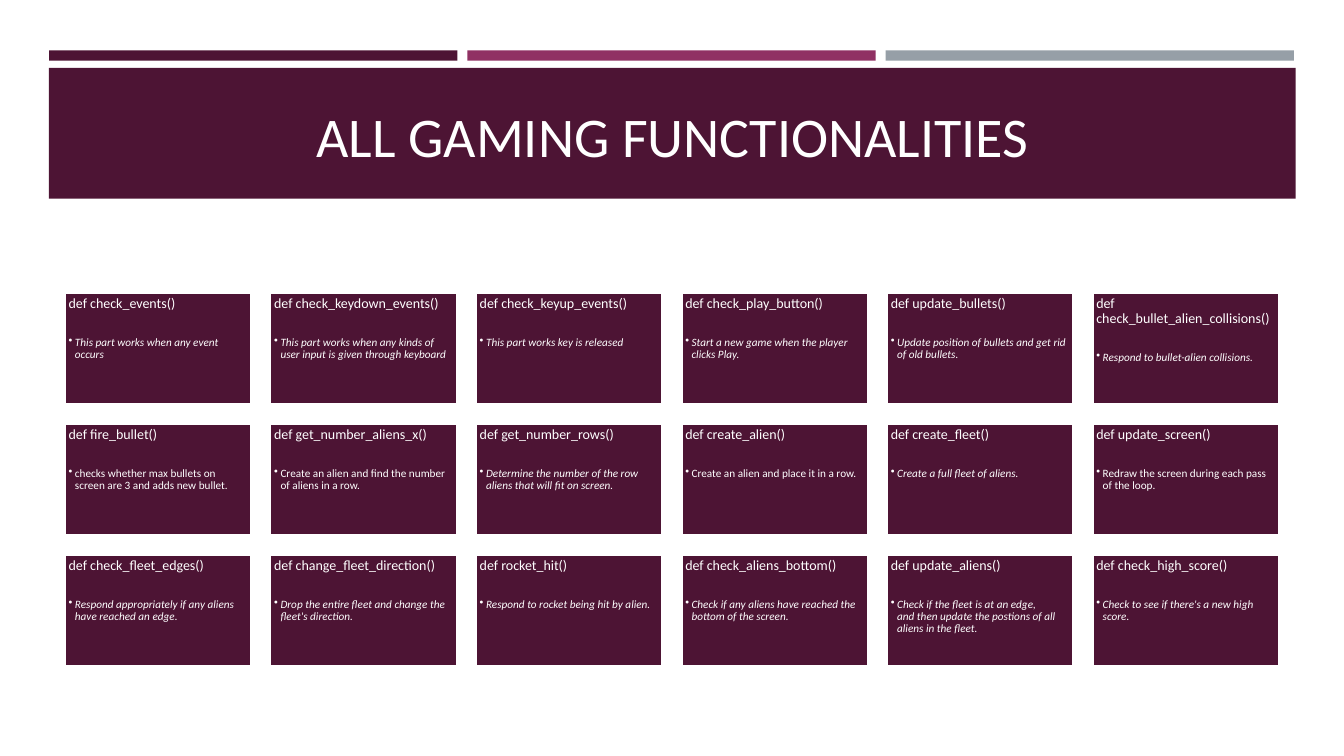
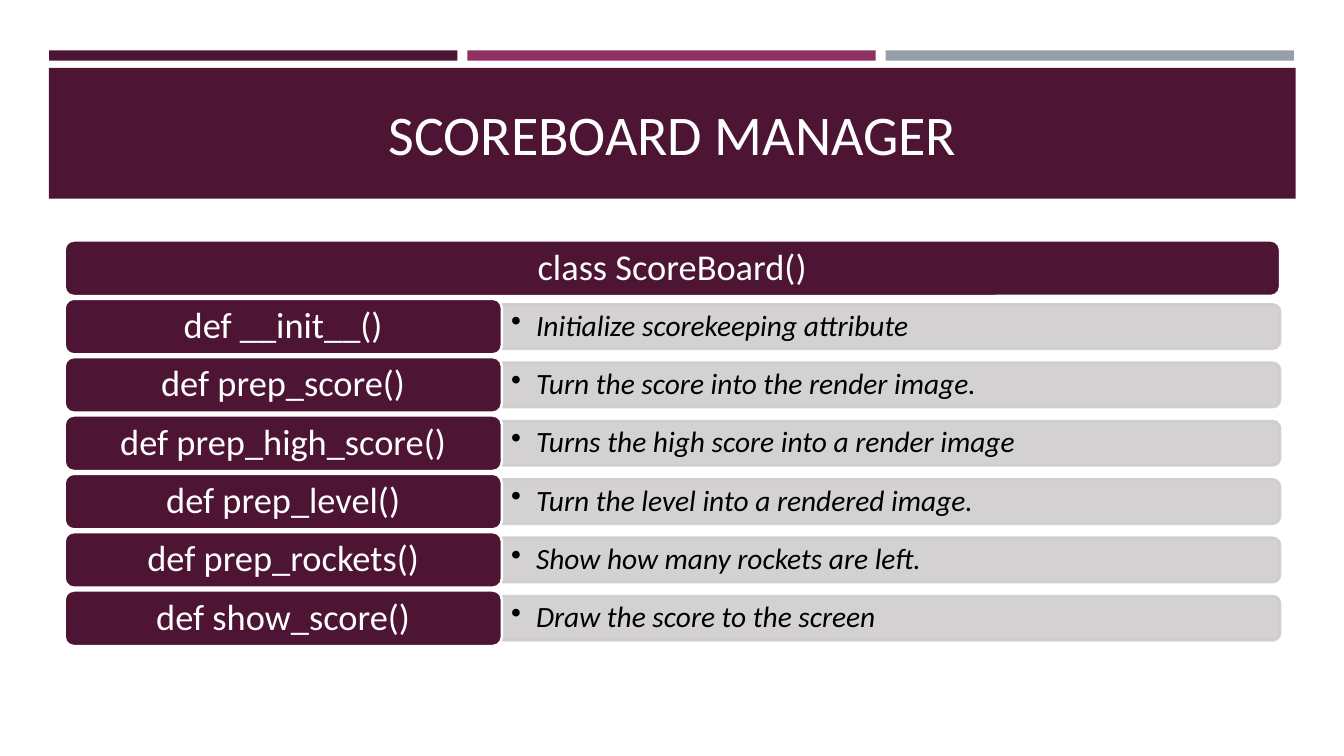
from copy import deepcopy

from lxml.etree import SubElement
from pptx import Presentation
from pptx.dml.color import RGBColor
from pptx.enum.shapes import MSO_SHAPE
from pptx.enum.text import MSO_ANCHOR, PP_ALIGN
from pptx.oxml.ns import qn
from pptx.util import Cm, Pt

FONT = "Calibri"
COLORS = {
    "plum": "4D1434",
    "berry": "903163",
    "slate": "969FA7",
    "mist": "D0CCCE",
    "white": "FFFFFF",
    "black": "000000",
}
LEFT = 1.63
CONTENT_W = 30.63

FUNCTIONS = [
    ("check_events", "This part works when any event occurs"),
    ("check_keydown_events",
     "This part works when any kinds of user input is given through keyboard"),
    ("check_keyup_events", "This part works key is released"),
    ("check_play_button", "Start a new game when the player clicks Play."),
    ("update_bullets", "Update position of bullets and get rid of old bullets."),
    ("check_bullet_alien_collisions", "Respond to bullet-alien collisions."),
    ("fire_bullet", "checks whether max bullets on screen are 3 and adds new bullet."),
    ("get_number_aliens_x", "Create an alien and find the number of aliens in a row."),
    ("get_number_rows",
     "Determine the number of the row aliens that will fit on screen."),
    ("create_alien", "Create an alien and place it in a row."),
    ("create_fleet", "Create a full fleet of aliens."),
    ("update_screen", "Redraw the screen during each pass of the loop."),
    ("check_fleet_edges", "Respond appropriately if any aliens have reached an edge."),
    ("change_fleet_direction", "Drop the entire fleet and change the fleet's direction."),
    ("rocket_hit", "Respond to rocket being hit by alien."),
    ("check_aliens_bottom", "Check if any aliens have reached the bottom of the screen."),
    ("update_aliens",
     "Check if the fleet is at an edge,\n"
     "and then update the postions of all aliens in the fleet."),
    ("check_high_score", "Check to see if there's a new high score."),
]
UPRIGHT = {"fire_bullet", "get_number_aliens_x", "create_alien", "update_screen"}

METHODS = [
    ("__init__", "Initialize scorekeeping attribute"),
    ("prep_score", "Turn the score into the render image."),
    ("prep_high_score", "Turns the high score into a render image"),
    ("prep_level", "Turn the level into a rendered image."),
    ("prep_rockets", "Show how many rockets are left."),
    ("show_score", "Draw the score to the screen"),
]


def rgb(name):
    return RGBColor.from_string(COLORS[name])


def add_box(s, kind, x, y, w, h, fill, line=None):
    sp = s.shapes.add_shape(kind, Cm(x), Cm(y), Cm(w), Cm(h))
    sp.shadow.inherit = False
    sp.fill.solid()
    sp.fill.fore_color.rgb = rgb(fill)
    if line:
        sp.line.color.rgb = rgb(line)
        sp.line.width = Pt(1.75)
    else:
        sp.line.fill.background()
    return sp


def set_frame(sp, anchor, inset_x, inset_y):
    tf = sp.text_frame
    tf.word_wrap = True
    tf.vertical_anchor = anchor
    tf.margin_left = tf.margin_right = Cm(inset_x)
    tf.margin_top = tf.margin_bottom = Cm(inset_y)
    return tf


def write(p, text, size, color="white", italic=False, align=PP_ALIGN.LEFT,
          spacing=0.9, after=0, bullet_indent=None):
    """Fill a paragraph; bullet_indent (cm) makes it a hanging bullet."""
    p.text = text
    p.alignment = align
    p.line_spacing = spacing
    p.space_after = Pt(after)
    for r in p.runs:
        r.font.name = FONT
        r.font.size = Pt(size)
        r.font.italic = italic
        r.font.color.rgb = rgb(color)
    for br in p._p.findall(qn("a:br")):
        br.append(deepcopy(p.runs[0]._r.rPr))
    if bullet_indent:
        pPr = p._p.get_or_add_pPr()
        pPr.set("marL", str(Cm(bullet_indent)))
        pPr.set("indent", str(-Cm(bullet_indent)))
        SubElement(pPr, qn("a:buChar")).set("char", "•")


def add_text_box(s, x, y, w, h, anchor, inset_x, inset_y, text, **fmt):
    sp = s.shapes.add_textbox(Cm(x), Cm(y), Cm(w), Cm(h))
    write(set_frame(sp, anchor, inset_x, inset_y).paragraphs[0], text, **fmt)


def add_titled_slide(prs, title, title_bottom):
    s = prs.slides.add_slide(prs.slide_layouts[6])
    for i, color in enumerate(("plum", "berry", "slate")):
        add_box(s, MSO_SHAPE.RECTANGLE, 1.24 + i * 10.54, 1.27, 10.29, 0.26, color)
    add_box(s, MSO_SHAPE.RECTANGLE, 1.23, 1.71, 31.42, 3.3, "plum")
    title_h = 2.4
    add_text_box(s, LEFT, title_bottom - title_h, CONTENT_W, title_h,
                 MSO_ANCHOR.BOTTOM, 0.25, 0.13, title, size=40,
                 align=PP_ALIGN.CENTER, spacing=1.0)
    return s


def add_card(s, x, y, w, h, name, note):
    sp = add_box(s, MSO_SHAPE.RECTANGLE, x, y, w, h, "plum", "white")
    tf = set_frame(sp, MSO_ANCHOR.TOP, 0.1, 0.1)
    write(tf.paragraphs[0], f"def {name}()", size=10, after=18)
    write(tf.add_paragraph(), note, size=8, italic=name not in UPRIGHT,
          bullet_indent=0.16)


def add_label(s, y, w, h, text):
    sp = add_box(s, MSO_SHAPE.ROUNDED_RECTANGLE, LEFT, y, w, h, "plum", "white")
    tf = set_frame(sp, MSO_ANCHOR.MIDDLE, 0.28, 0.13)
    write(tf.paragraphs[0], text, size=26, align=PP_ALIGN.CENTER)


def add_note_bar(s, x, middle, w, text):
    """Translucent bar rounded on the right: an upright shape turned by 90°."""
    h = 1.12
    sp = add_box(s, MSO_SHAPE.ROUND_2_SAME_RECTANGLE, x + (w - h) / 2,
                 middle - w / 2, h, w, "mist", "mist")
    sp.rotation = 90
    for clr in sp._element.spPr.iter(qn("a:srgbClr")):
        SubElement(clr, qn("a:alpha")).set("val", "90000")
    add_text_box(s, x, middle - h / 2, w, h, MSO_ANCHOR.MIDDLE, 0.23, 0.1, text,
                 size=21, color="black", italic=True, bullet_indent=0.63)


def add_functions_slide(prs):
    s = add_titled_slide(prs, "ALL GAMING FUNCTIONALITIES", 4.39)
    columns, card_w, card_h, gap = 6, 4.71, 2.83, 0.47
    for i, (name, note) in enumerate(FUNCTIONS):
        row, col = divmod(i, columns)
        add_card(s, LEFT + col * (card_w + gap), 7.37 + row * (card_h + gap),
                 card_w, card_h, name, note)


def add_scoreboard_slide(prs):
    s = add_titled_slide(prs, "SCOREBOARD MANAGER", 4.34)
    top, label_w, label_h, pitch = 6.06, 11.02, 1.4, 1.47
    add_label(s, top, CONTENT_W, label_h, "class ScoreBoard()")
    for i, (name, note) in enumerate(METHODS, start=1):
        y = top + i * pitch
        add_note_bar(s, LEFT + label_w, y + label_h / 2, CONTENT_W - label_w, note)
        add_label(s, y, label_w, label_h, f"def {name}()")


def main():
    prs = Presentation()
    prs.slide_width = Cm(33.87)
    prs.slide_height = Cm(19.05)
    add_functions_slide(prs)
    add_scoreboard_slide(prs)
    prs.save("out.pptx")


if __name__ == "__main__":
    main()
